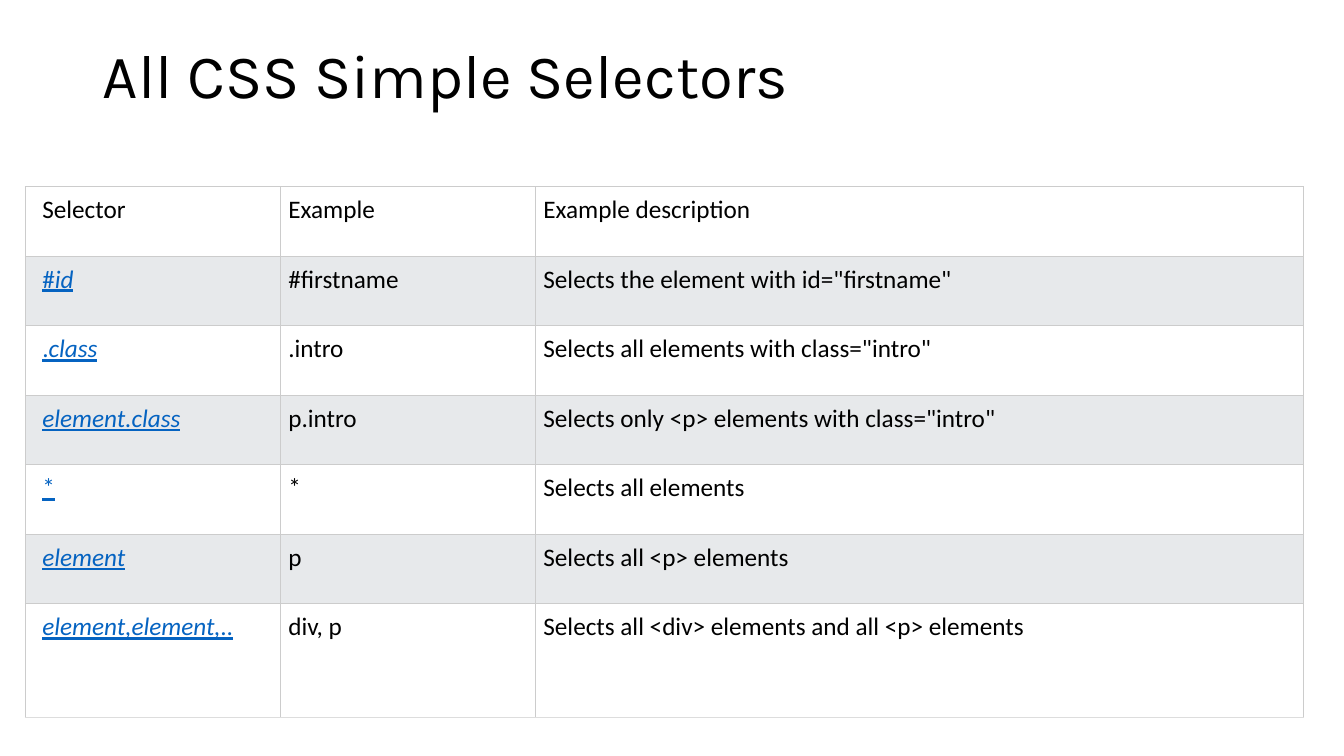
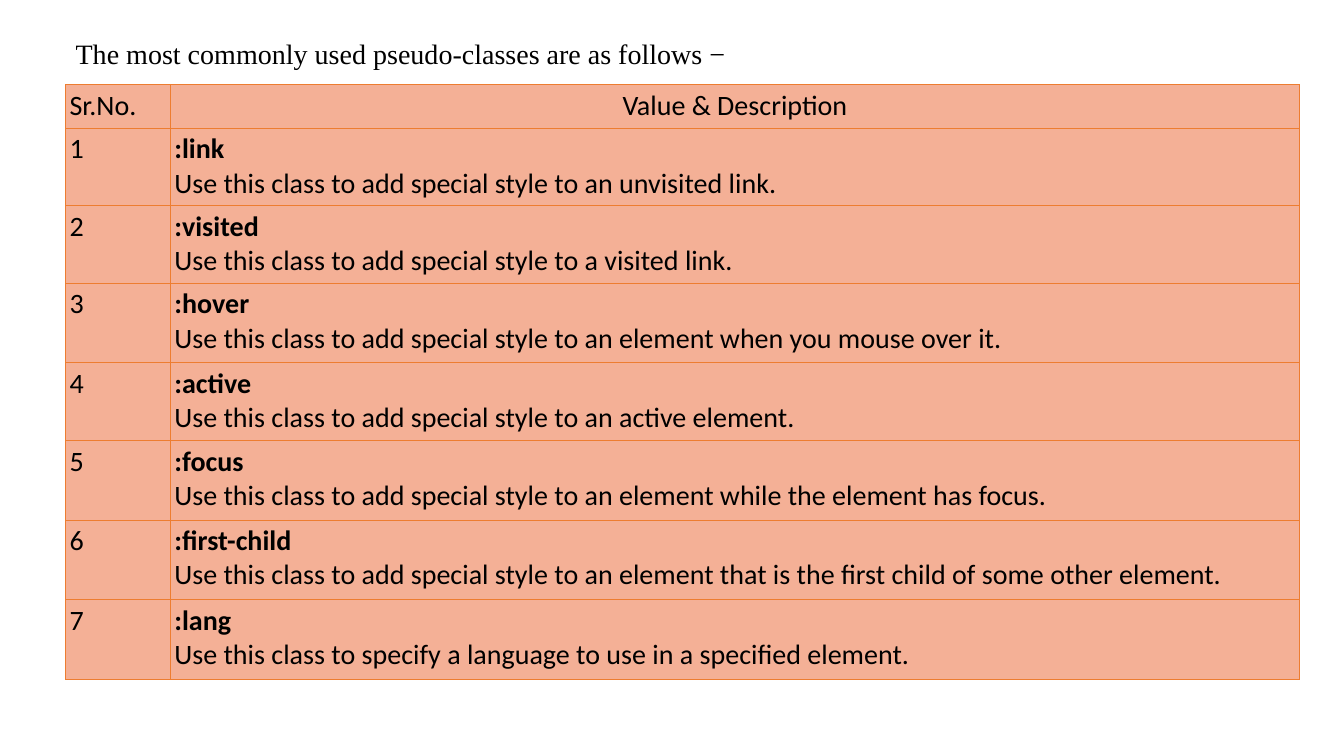
"""Build two slides of tables on CSS selectors and pseudo-classes."""
from dataclasses import dataclass

from lxml import etree
from pptx import Presentation
from pptx.dml.color import RGBColor
from pptx.enum.text import MSO_ANCHOR, MSO_AUTO_SIZE, PP_ALIGN
from pptx.oxml.ns import qn
from pptx.util import Inches, Pt

BLACK = RGBColor(0x00, 0x00, 0x00)
WHITE = RGBColor(0xFF, 0xFF, 0xFF)
GRAY = RGBColor(0xE7, 0xE9, 0xEB)
RULE = RGBColor(0xCC, 0xCC, 0xCC)
FOOT = RGBColor(0xDD, 0xDD, 0xDD)
BLUE = RGBColor(0x05, 0x63, 0xC1)
PEACH = RGBColor(0xF4, 0xB0, 0x96)
ORANGE = RGBColor(0xED, 0x7D, 0x31)
FONT = "Calibri"


@dataclass
class Run:
    """A piece of text with one look."""
    text: str
    bold: bool = False
    italic: bool = False
    link: bool = False


@dataclass
class Cell:
    """Paragraphs of runs with one alignment."""
    paras: list[list[Run]]
    align: PP_ALIGN = PP_ALIGN.LEFT


@dataclass
class Grid:
    """Place and style of a table."""
    left: float
    top: float
    cols: list[float]
    rows: list[float]
    size: int
    fills: list[RGBColor]
    rule: RGBColor
    foot: RGBColor
    width: float
    pad: float
    first: float


@dataclass
class Title:
    """Place and style of a slide title."""
    text: str
    box: tuple[float, float, float, float]
    font: str
    size: int
    anchor: MSO_ANCHOR
    align: PP_ALIGN
    wrap: bool
    pitch: float


SELECTORS = [
    ("#id", "#firstname", 'Selects the element with id="firstname"'),
    (".class", ".intro", 'Selects all elements with class="intro"'),
    ("element.class", "p.intro", 'Selects only <p> elements with class="intro"'),
    ("*", "*", "Selects all elements"),
    ("element", "p", "Selects all <p> elements"),
    ("element,element,..", "div, p",
     "Selects all <div> elements and all <p> elements"),
]
PSEUDO = [
    (":link", "add special style to an unvisited link."),
    (":visited", "add special style to a visited link."),
    (":hover", "add special style to an element when you mouse over it."),
    (":active", "add special style to an active element."),
    (":focus", "add special style to an element while the element has focus."),
    (":first-child", "add special style to an element that is the first child"
                     " of some other element."),
    (":lang", "specify a language to use in a specified element."),
]


def plain(text: str, align: PP_ALIGN = PP_ALIGN.LEFT) -> Cell:
    """Make a cell with one plain line."""
    return Cell([[Run(text)]], align)


def link(text: str) -> Cell:
    """Make a link cell whose words, but not leading symbol, are italic."""
    cut = 1 if text[0] in "#.*" else 0
    parts = [Run(text[:cut], link=True), Run(text[cut:], italic=True, link=True)]
    return Cell([[part for part in parts if part.text]])


def entry(name: str, use: str) -> Cell:
    """Make a cell with a bold name above its use."""
    return Cell([[Run(name, bold=True)], [Run(f"Use this class to {use}")]],
                PP_ALIGN.JUSTIFY)


def add_title(slide, title: Title) -> None:
    """Move and format the title placeholder."""
    shape = slide.shapes.title
    shape.left, shape.top, shape.width, shape.height = map(Inches, title.box)
    frame = shape.text_frame
    frame.text = title.text
    frame.word_wrap = title.wrap
    frame.auto_size = MSO_AUTO_SIZE.NONE
    frame.vertical_anchor = title.anchor
    para = frame.paragraphs[0]
    para.alignment = title.align
    para.line_spacing = title.pitch
    font = para.runs[0].font
    font.name, font.size = title.font, Pt(title.size)
    font.color.rgb = BLACK


def add_edges(cell, rule: RGBColor, foot: RGBColor, width: float) -> None:
    """Draw the four borders of a cell."""
    props = cell._tc.get_or_add_tcPr()
    for spot, side in enumerate("LRTB"):
        line = etree.Element(qn(f"a:ln{side}"), w=str(Pt(width)))
        fill = etree.SubElement(line, qn("a:solidFill"))
        color = foot if side == "B" else rule
        etree.SubElement(fill, qn("a:srgbClr"), val=str(color))
        props.insert(spot, line)


def fill_text(frame, data: Cell, size: int) -> None:
    """Write the paragraphs of a cell."""
    for spot, parts in enumerate(data.paras):
        para = frame.paragraphs[0] if spot == 0 else frame.add_paragraph()
        para.alignment = data.align
        for part in parts:
            run = para.add_run()
            run.text = part.text
            font = run.font
            font.name, font.size = FONT, Pt(size)
            font.bold, font.italic = part.bold, part.italic
            font.underline = part.link
            font.color.rgb = BLUE if part.link else BLACK


def add_grid(slide, grid: Grid, data: list[list[Cell]]) -> None:
    """Draw a table with its cells."""
    table = slide.shapes.add_table(
        len(grid.rows), len(grid.cols), Inches(grid.left), Inches(grid.top),
        Inches(sum(grid.cols)), Inches(sum(grid.rows))).table
    table.first_row = table.horz_banding = False
    for col, width in zip(table.columns, grid.cols):
        col.width = Inches(width)
    for row, (height, items) in enumerate(zip(grid.rows, data)):
        table.rows[row].height = Inches(height)
        last = row == len(grid.rows) - 1
        for col, item in enumerate(items):
            cell = table.cell(row, col)
            cell.margin_left = Inches(grid.pad if col else grid.first)
            cell.margin_right = Inches(grid.pad)
            cell.margin_top = cell.margin_bottom = Inches(grid.pad)
            cell.fill.solid()
            cell.fill.fore_color.rgb = grid.fills[row % len(grid.fills)]
            add_edges(cell, grid.rule, grid.foot if last else grid.rule,
                      grid.width)
            fill_text(cell.text_frame, item, grid.size)


def main() -> None:
    """Build and save the slides."""
    deck = Presentation()
    deck.slide_width, deck.slide_height = Inches(13.33), Inches(7.5)
    layout = deck.slide_layouts[5]

    slide = deck.slides.add_slide(layout)
    add_title(slide, Title(
        "All CSS Simple Selectors", (0.92, 0.4, 11.5, 1.45), "Karla", 44,
        MSO_ANCHOR.TOP, PP_ALIGN.LEFT, True, 0.9))
    heads = [plain(head) for head in ("Selector", "Example", "Example description")]
    rows = [[link(name), plain(case), plain(note)] for name, case, note in SELECTORS]
    add_grid(slide, Grid(
        0.25, 1.85, [2.53, 2.53, 7.62], [0.69] * 6 + [1.13], 18,
        [WHITE, GRAY], RULE, FOOT, 0.75, 0.08, 0.17), [heads] + rows)

    slide = deck.slides.add_slide(layout)
    add_title(slide, Title(
        "The most commonly used pseudo-classes are as follows −",
        (0.65, 0.31, 6.69, 0.44), "Times New Roman", 20,
        MSO_ANCHOR.MIDDLE, PP_ALIGN.JUSTIFY, False, 1.0))
    heads = [plain("Sr.No."), plain("Value & Description", PP_ALIGN.CENTER)]
    rows = [[plain(str(rank)), entry(*item)] for rank, item in enumerate(PSEUDO, 1)]
    low, high = 0.77, 0.79
    add_grid(slide, Grid(
        0.65, 0.84, [1.04, 11.2],
        [0.43, low, low, high, low, high, high, high], 20,
        [PEACH], ORANGE, ORANGE, 0.5, 0.04, 0.04), [heads] + rows)
    deck.save("out.pptx")


if __name__ == "__main__":
    main()
